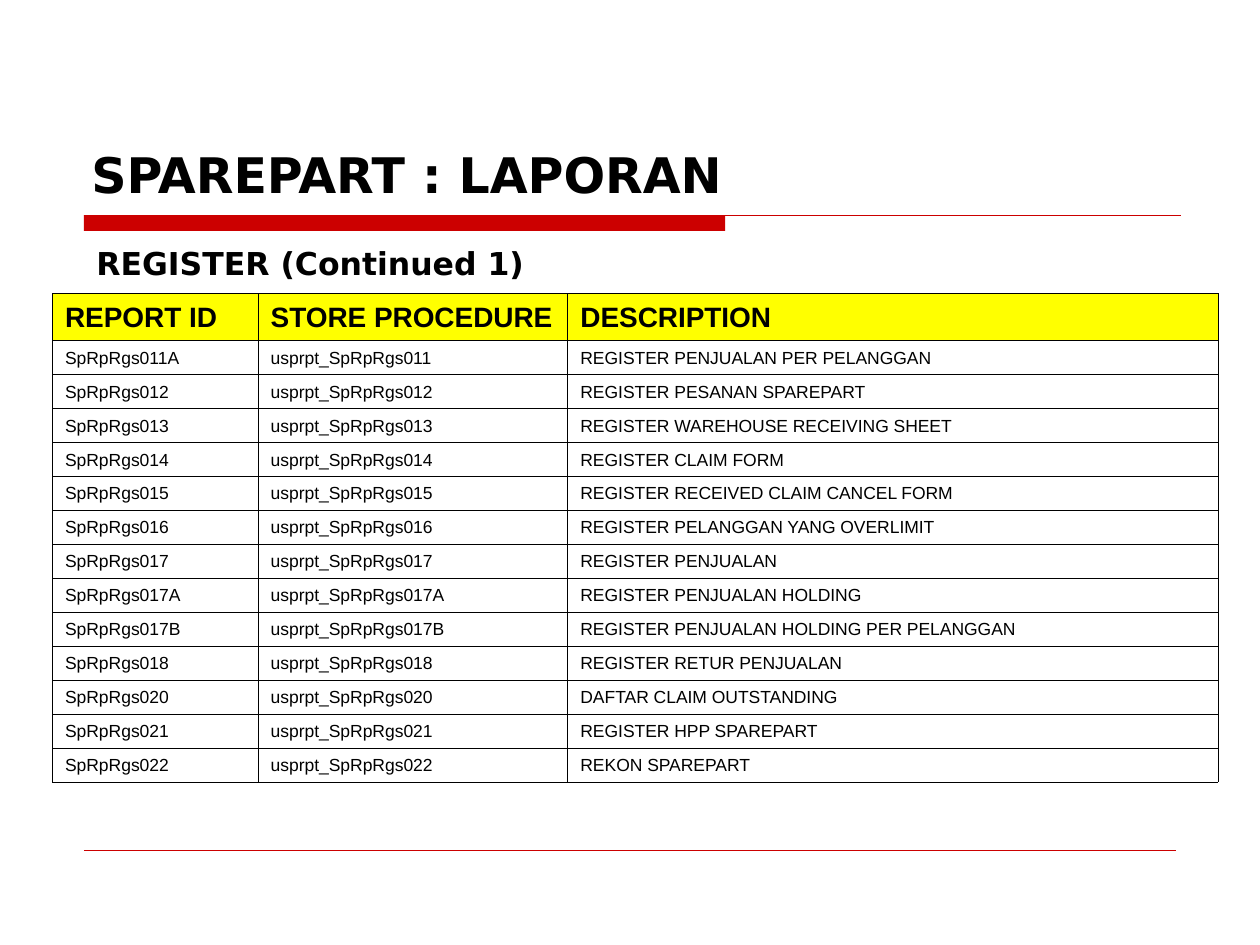
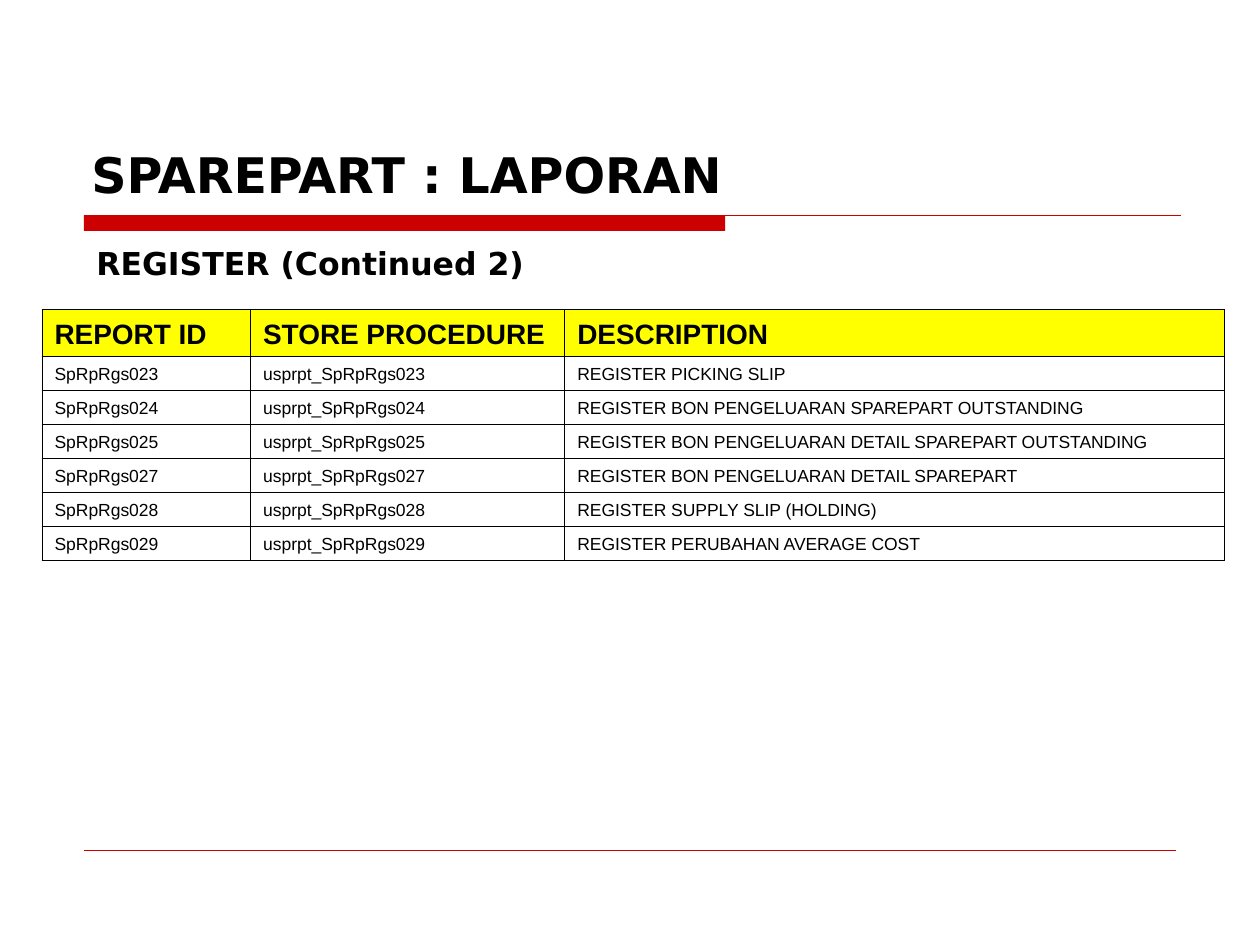
from lxml import etree
from pptx import Presentation
from pptx.dml.color import RGBColor
from pptx.enum.shapes import MSO_CONNECTOR, MSO_SHAPE
from pptx.enum.text import MSO_ANCHOR, MSO_AUTO_SIZE, PP_ALIGN
from pptx.oxml.ns import qn
from pptx.util import Pt

RED, YELLOW, BLACK = "CC0000", "FFFF00", "000000"
TITLE_FONT, TABLE_FONT = "DejaVu Sans", "Arial"
TITLE = "SPAREPART : LAPORAN"

# Report tables
HEADINGS = ("REPORT ID", "STORE PROCEDURE", "DESCRIPTION")
COLUMN_WEIGHTS = (117.5, 177, 371.5)
HEADER_HEIGHT, ROW_HEIGHT = 26.64, 19.44
SHARED_PROCEDURES = {"SpRpRgs011A": "SpRpRgs011"}

REGISTER_1 = [
    ("SpRpRgs011A", "REGISTER PENJUALAN PER PELANGGAN"),
    ("SpRpRgs012", "REGISTER PESANAN SPAREPART"),
    ("SpRpRgs013", "REGISTER WAREHOUSE RECEIVING SHEET"),
    ("SpRpRgs014", "REGISTER CLAIM FORM"),
    ("SpRpRgs015", "REGISTER RECEIVED CLAIM CANCEL FORM"),
    ("SpRpRgs016", "REGISTER PELANGGAN YANG OVERLIMIT"),
    ("SpRpRgs017", "REGISTER PENJUALAN"),
    ("SpRpRgs017A", "REGISTER PENJUALAN HOLDING"),
    ("SpRpRgs017B", "REGISTER PENJUALAN HOLDING PER PELANGGAN"),
    ("SpRpRgs018", "REGISTER RETUR PENJUALAN"),
    ("SpRpRgs020", "DAFTAR CLAIM OUTSTANDING"),
    ("SpRpRgs021", "REGISTER HPP SPAREPART"),
    ("SpRpRgs022", "REKON SPAREPART"),
]
REGISTER_2 = [
    ("SpRpRgs023", "REGISTER PICKING SLIP"),
    ("SpRpRgs024", "REGISTER BON PENGELUARAN SPAREPART OUTSTANDING"),
    ("SpRpRgs025", "REGISTER BON PENGELUARAN DETAIL SPAREPART OUTSTANDING"),
    ("SpRpRgs027", "REGISTER BON PENGELUARAN DETAIL SPAREPART"),
    ("SpRpRgs028", "REGISTER SUPPLY SLIP (HOLDING)"),
    ("SpRpRgs029", "REGISTER PERUBAHAN AVERAGE COST"),
]


def rgb(color):
    return RGBColor.from_string(color)


def write(tf, text, font=TITLE_FONT, size=10, bold=False, color=BLACK):
    p = tf.paragraphs[0]
    p.alignment = PP_ALIGN.LEFT
    r = p.add_run()
    r.text = text
    r.font.name, r.font.size, r.font.bold = font, Pt(size), bold
    r.font.color.rgb = rgb(color)


def add_rule(s, x, y, width, weight):
    line = s.shapes.add_connector(MSO_CONNECTOR.STRAIGHT, Pt(x), Pt(y), Pt(x + width), Pt(y))
    line.line.color.rgb = rgb(RED)
    line.line.width = Pt(weight)
    etree.SubElement(line._element.spPr, qn("a:effectLst"))


def add_title(s, x, y, width, height):
    sp = s.shapes.title
    sp.left, sp.top, sp.width, sp.height = Pt(x), Pt(y), Pt(width), Pt(height)
    tf = sp.text_frame
    tf.auto_size = MSO_AUTO_SIZE.NONE
    tf.vertical_anchor = MSO_ANCHOR.BOTTOM
    write(tf, TITLE, size=28, bold=True)


def add_band(s, x, y, width):
    """Thick bar under the title, continued by a thin rule."""
    bar = s.shapes.add_shape(MSO_SHAPE.RECTANGLE, Pt(x), Pt(y), Pt(366.4), Pt(9))
    bar.shadow.inherit = False
    bar.fill.solid()
    bar.fill.fore_color.rgb = rgb(RED)
    bar.line.fill.background()
    add_rule(s, x, y, width, 0.75)


def add_subtitle(s, text, x, y, width, height):
    tf = s.shapes.add_textbox(Pt(x), Pt(y), Pt(width), Pt(height)).text_frame
    tf.word_wrap = True
    write(tf, text, size=18, bold=True)


def set_borders(cell, color=BLACK, weight=0.45):
    tc_pr = cell._tc.get_or_add_tcPr()
    for i, side in enumerate(("lnL", "lnR", "lnT", "lnB")):
        ln = etree.Element(qn(f"a:{side}"), w=str(Pt(weight)))
        fill = etree.SubElement(ln, qn("a:solidFill"))
        etree.SubElement(fill, qn("a:srgbClr"), val=color)
        tc_pr.insert(i, ln)


def add_report_table(s, reports, x, y, width):
    rows = [HEADINGS] + [
        (report, "usprpt_" + SHARED_PROCEDURES.get(report, report), description)
        for report, description in reports
    ]
    height = HEADER_HEIGHT + ROW_HEIGHT * len(reports)
    table = s.shapes.add_table(
        len(rows), len(HEADINGS), Pt(x), Pt(y), Pt(width), Pt(height)).table
    table.first_row = table.horz_banding = False
    for column, weight in zip(table.columns, COLUMN_WEIGHTS):
        column.width = Pt(width * weight / sum(COLUMN_WEIGHTS))
    for i, values in enumerate(rows):
        header = i == 0
        table.rows[i].height = Pt(HEADER_HEIGHT if header else ROW_HEIGHT)
        for j, value in enumerate(values):
            cell = table.cell(i, j)
            cell.vertical_anchor = MSO_ANCHOR.BOTTOM
            if header:
                cell.fill.solid()
                cell.fill.fore_color.rgb = rgb(YELLOW)
            else:
                cell.fill.background()
            set_borders(cell)
            write(cell.text_frame, value, font=TABLE_FONT,
                  size=16 if header else 10, bold=header)


def add_register_slide(prs, subtitle, reports, x, y, width):
    s = prs.slides.add_slide(prs.slide_layouts[5])
    add_band(s, 48, 123, 627)
    add_rule(s, 48, 486, 624, 0.25)
    add_title(s, 45, 24, 630, 96)
    add_subtitle(s, subtitle, 48, 136, 276, 29)
    add_report_table(s, reports, x, y, width)


def main():
    prs = Presentation()
    prs.slide_width, prs.slide_height = Pt(720), Pt(540)
    add_register_slide(prs, "REGISTER (Continued 1)", REGISTER_1, 30, 167.75, 666)
    add_register_slide(prs, "REGISTER (Continued 2)", REGISTER_2, 24, 177, 675.5)
    prs.save("out.pptx")


if __name__ == "__main__":
    main()
